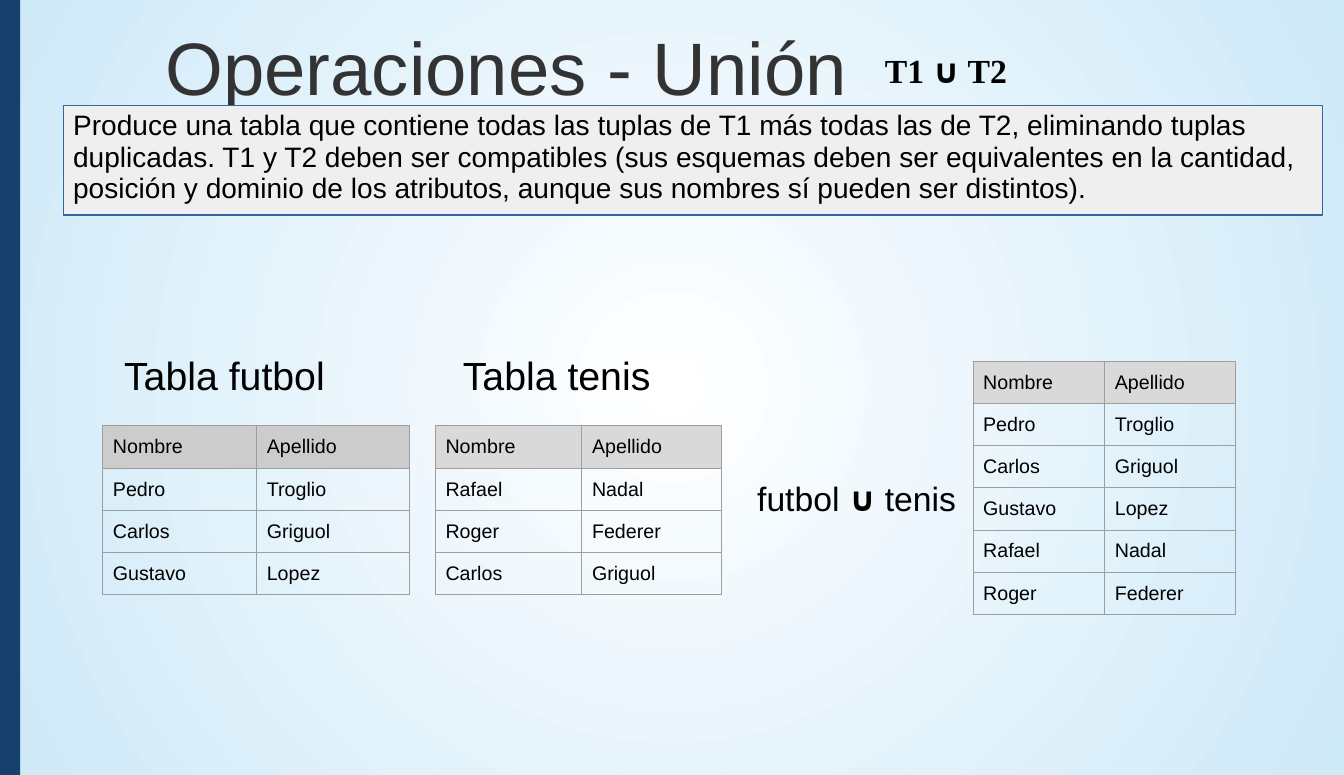
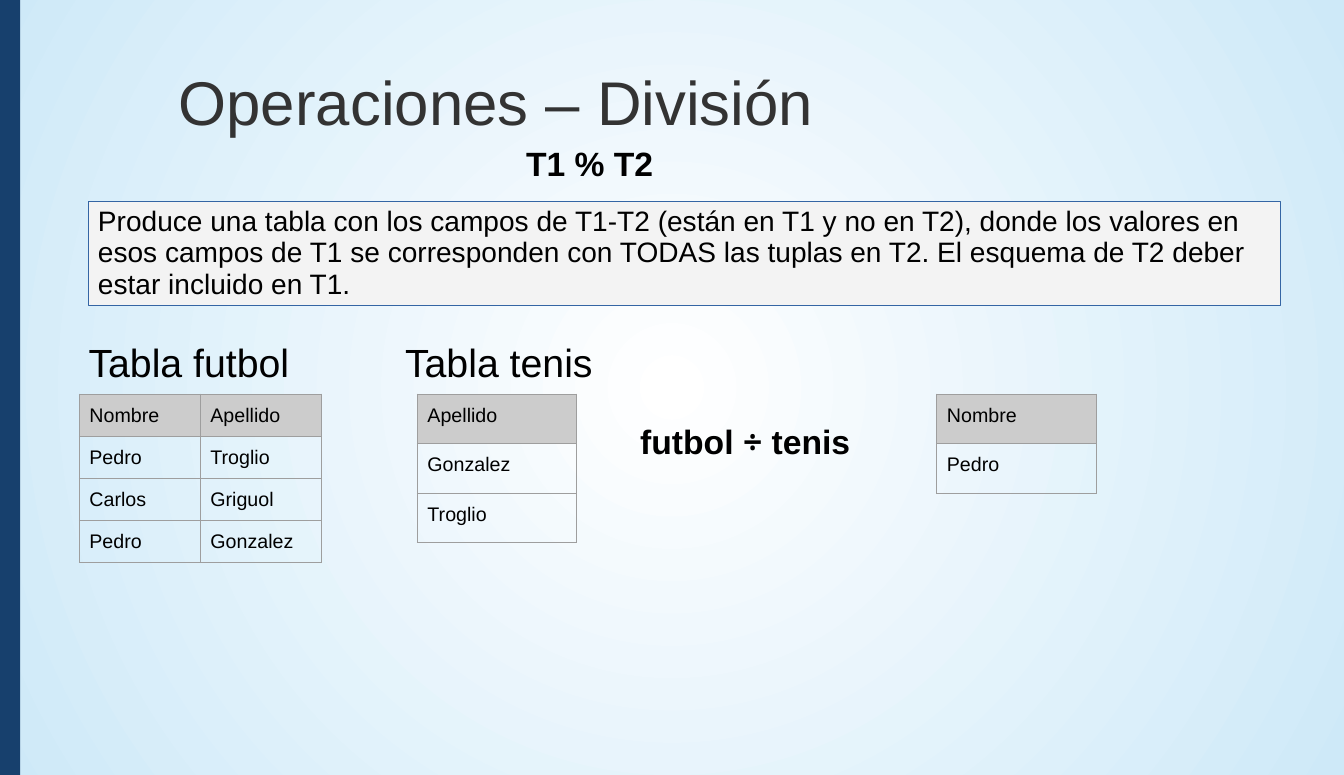
"""Build two slides on the relational operations union and division."""
from lxml import etree
from pptx import Presentation
from pptx.dml.color import RGBColor
from pptx.enum.shapes import MSO_SHAPE
from pptx.enum.text import MSO_ANCHOR, PP_ALIGN
from pptx.oxml.ns import qn
from pptx.util import Cm, Inches, Pt

RECT = MSO_SHAPE.RECTANGLE
TOP, MIDDLE = MSO_ANCHOR.TOP, MSO_ANCHOR.MIDDLE
LEFT = PP_ALIGN.LEFT
NAVY = RGBColor(0x17, 0x40, 0x6D)
BLUE = RGBColor(0x34, 0x65, 0xA4)
SKY = RGBColor(0xCE, 0xE9, 0xF8)
WHITE = RGBColor(0xFF, 0xFF, 0xFF)
BLACK = RGBColor(0x00, 0x00, 0x00)
INK = RGBColor(0x33, 0x33, 0x33)
RULE = RGBColor(0x9E, 0x9E, 0x9E)
GRAY = RGBColor(0xCC, 0xCC, 0xCC)
PALE = RGBColor(0xD9, 0xD9, 0xD9)
MIST = RGBColor(0xEF, 0xEF, 0xEF)
SNOW = RGBColor(0xF3, 0xF3, 0xF3)
SANS, SERIF, SIGN = "Arial", "Times New Roman", "Noto Sans"
CELL = {"margin_left": Inches(0.1), "margin_right": Inches(0.1),
        "margin_top": Inches(0.1), "margin_bottom": Inches(0.08)}

deck = Presentation()
deck.slide_width, deck.slide_height = Cm(33.8), Cm(19.5)
COL, ROW = deck.slide_width / 100, deck.slide_height / 100


def area(x, y, wide, high):
    """Turn percent shares of the slide into lengths."""
    return [round(n) for n in (x * COL, y * ROW, wide * COL, high * ROW)]


def write(frame, runs, size, color=BLACK, space=None, pad=(0.1, 0.05), anchor=TOP):
    """Fill a text frame with one paragraph of (text, font, bold) runs."""
    side, edge = Inches(pad[0]), Inches(pad[1])
    form = {"margin_left": side, "margin_right": side, "margin_top": edge,
            "margin_bottom": edge, "word_wrap": True, "vertical_anchor": anchor}
    for key, val in form.items():
        setattr(frame, key, val)
    para = frame.paragraphs[0]
    para.alignment = LEFT
    para.line_spacing = space
    for text, face, bold in runs:
        run = para.add_run()
        run.text = text
        for key, val in {"name": face, "size": Pt(size), "bold": bold}.items():
            setattr(run.font, key, val)
        run.font.color.rgb = color


master = deck.slide_master
fill = master.background.fill
fill.gradient()
for stop, color in zip(fill.gradient_stops, (WHITE, SKY)):
    stop.color.rgb = color
grad = master.element.find(".//" + qn("p:bg")).find(".//" + qn("a:gradFill"))
grad.remove(grad.find(qn("a:lin")))
way = etree.SubElement(grad, qn("a:path"), path="circle")
etree.SubElement(way, qn("a:fillToRect"), l="50000", t="50000", r="50000", b="50000")

SLIDES = [
    {
        "title": ("Operaciones - Unión", 53, 11.4, 1.2),
        "box": ((4.7, 13.65, 93.7, 14.1), MIST,
                "Produce una tabla que contiene todas las tuplas de T1 más todas las de T2, "
                "eliminando tuplas duplicadas. T1 y T2 deben ser compatibles (sus esquemas "
                "deben ser equivalentes en la cantidad, posición y dominio de los atributos, "
                "aunque sus nombres sí pueden ser distintos)."),
        "heads": (45.2, 8.5, 33.7),
        "signs": [
            ((65.1, 6.1, 14.7, 6.1),
             [("T1 ", SERIF, True), ("∪", SIGN, True), (" T2", SERIF, True)]),
            ((55.6, 61.3, 20.1, 11.5),
             [("futbol ", SANS, False), ("∪ ", SIGN, True), ("tenis", SANS, False)]),
        ],
        "grids": [
            (7.65, 54.95, (11.45, 11.4), 5.45, GRAY,
             [("Nombre", "Apellido"), ("Pedro", "Troglio"), ("Carlos", "Griguol"),
              ("Gustavo", "Lopez")]),
            (32.4, 54.95, (10.9, 10.4), 5.45, PALE,
             [("Nombre", "Apellido"), ("Rafael", "Nadal"), ("Roger", "Federer"),
              ("Carlos", "Griguol")]),
            (72.4, 46.6, (9.8, 9.7), 5.45, PALE,
             [("Nombre", "Apellido"), ("Pedro", "Troglio"), ("Carlos", "Griguol"),
              ("Gustavo", "Lopez"), ("Rafael", "Nadal"), ("Roger", "Federer")]),
        ],
    },
    {
        "title": ("Operaciones – División", 44, 12.4, 5.7),
        "box": ((6.55, 26, 88.75, 13.4), SNOW,
                "Produce una tabla con los campos de T1-T2 (están en T1 y no en T2), donde los "
                "valores en esos campos de T1 se corresponden con TODAS las tuplas en T2. El "
                "esquema de T2 deber estar incluido en T1."),
        "heads": (43.5, 5.85, 29.4),
        "signs": [
            ((38.4, 18.1, 13.7, 6.5), [("T1 % T2", SANS, True)]),
            ((46.9, 54, 18.8, 9.6),
             [("futbol ", SANS, True), ("÷", SIGN, True), (" tenis", SANS, True)]),
        ],
        "grids": [
            (5.9, 50.85, (9, 9), 5.45, GRAY,
             [("Nombre", "Apellido"), ("Pedro", "Troglio"), ("Carlos", "Griguol"),
              ("Pedro", "Gonzalez")]),
            (31.05, 50.85, (11.85,), 6.4, GRAY, [("Apellido",), ("Gonzalez",), ("Troglio",)]),
            (69.7, 50.85, (11.85,), 6.4, GRAY, [("Nombre",), ("Pedro",)]),
        ],
    },
]

for page, data in enumerate(SLIDES):
    shapes = deck.slides.add_slide(deck.slide_layouts[6]).shapes

    if page == 0:
        band = shapes.add_shape(RECT, *area(0, 0, 1.5, 100))
        band.shadow.inherit = False
        band.fill.solid()
        band.fill.fore_color.rgb = NAVY
        band.line.fill.background()
        master.element.cSld.spTree.append(band.element)

    text, size, x, y = data["title"]
    title = shapes.add_textbox(*area(x, y, 89.2, 14.5))
    write(title.text_frame, [(text, SANS, False)], size, INK, pad=(0.12, 0.06), anchor=MIDDLE)

    place, color, text = data["box"]
    box = shapes.add_shape(RECT, *area(*place))
    box.shadow.inherit = False
    box.fill.solid()
    box.fill.fore_color.rgb = color
    box.line.color.rgb = BLUE
    box.line.width = Pt(0.75)
    write(box.text_frame, [(text, SANS, False)], 20, space=0.93)

    y, *lefts = data["heads"]
    for x, text in zip(lefts, ("Tabla futbol", "Tabla tenis")):
        head = shapes.add_textbox(*area(x, y, 20, 7.3))
        write(head.text_frame, [(text, SANS, False)], 28, space=0.93)

    for place, runs in data["signs"]:
        sign = shapes.add_textbox(*area(*place))
        write(sign.text_frame, runs, 24, space=0.96)

    for x, y, wides, high, color, rows in data["grids"]:
        place = area(x, y, sum(wides), high * len(rows))
        grid = shapes.add_table(len(rows), len(wides), *place).table
        grid.first_row = grid.horz_banding = False
        for col, wide in zip(grid.columns, wides):
            col.width = round(wide * COL)
        for r, row in enumerate(rows):
            grid.rows[r].height = round(high * ROW)
            for c, text in enumerate(row):
                cell = grid.cell(r, c)
                for key, val in CELL.items():
                    setattr(cell, key, val)
                run = cell.text_frame.paragraphs[0].add_run()
                run.text = text
                for key, val in {"name": SANS, "size": Pt(14), "bold": False}.items():
                    setattr(run.font, key, val)
                run.font.color.rgb = BLACK
                prop = cell._tc.get_or_add_tcPr()
                for side in "LRTB":
                    line = etree.SubElement(prop, qn("a:ln" + side), w=str(Pt(0.75)))
                    paint = etree.SubElement(line, qn("a:solidFill"))
                    etree.SubElement(paint, qn("a:srgbClr"), val=str(RULE))
                if r == 0:
                    cell.fill.solid()
                    cell.fill.fore_color.rgb = color
                else:
                    cell.fill.background()

deck.save("out.pptx")
